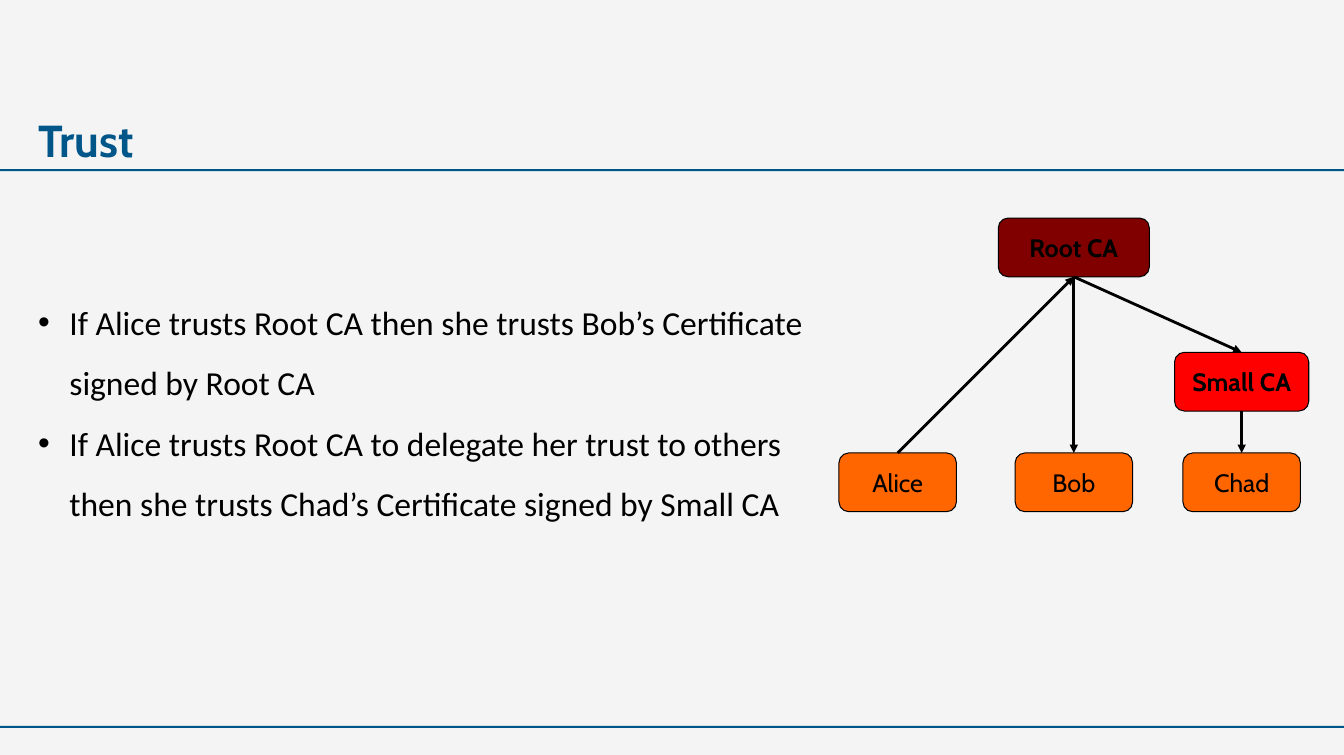
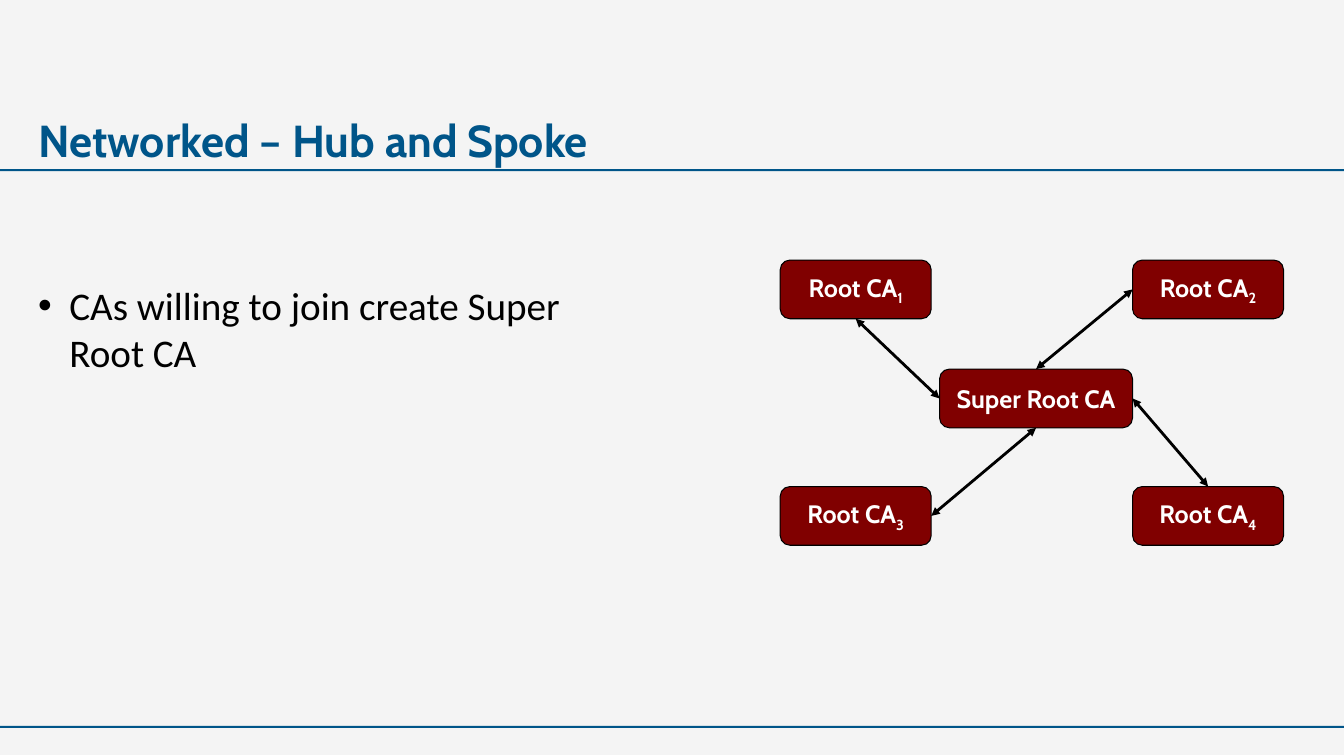
from pptx import Presentation
from pptx.dml.color import RGBColor
from pptx.enum.shapes import MSO_CONNECTOR as Link, MSO_SHAPE as Kind
from pptx.enum.text import MSO_ANCHOR as Anchor, PP_ALIGN as Align
from pptx.oxml.ns import qn
from pptx.util import Inches, Pt
from lxml.etree import SubElement as Sub

# Colours and fonts
PAPER, BLUE, BLACK, WHITE = "F4F4F4", "005589", "000000", "FFFFFF"
MAROON, RED, ORANGE = "800000", "FF0000", "FF6600"
HEAD, BODY = "Cabin", "Calibri"

# Connection sites of a box
TOP, LEFT, BASE, RIGHT = range(4)


def hue(code):
    return RGBColor.from_string(code)


def cell(n):
    """Grid columns and rows are a twelfth of an inch."""
    return Inches(n / 12)


def write(para, text, size=18, font=HEAD, color=BLACK, bold=False):
    """Write text; what follows an underscore becomes a subscript."""
    for i, part in enumerate(text.split("_")):
        run = para.add_run()
        run.text = part
        face = run.font
        face.size, face.name, face.bold = Pt(size), font, bold
        face.color.rgb = hue(color)
        if i:
            run._r.get_or_add_rPr().set("baseline", "-25000")


class Deck:
    def __init__(self):
        self.prs = Presentation()
        self.prs.slide_width, self.prs.slide_height = Inches(13.35), Inches(7.5)

    def page(self, title):
        """Start a slide with its background, two rules and title."""
        self.slide = self.prs.slides.add_slide(self.prs.slide_layouts[6])
        self.shapes = self.slide.shapes
        fill = self.slide.background.fill
        fill.solid()
        fill.fore_color.rgb = hue(PAPER)
        for top in (1.68, 7.21):
            self.rule(top)
        write(self.frame(13.5, 91.5, 6.5).paragraphs[0], title,
              size=32, color=BLUE, bold=True)

    def rule(self, top):
        bar = self.shapes.add_shape(Kind.RECTANGLE, 0, Inches(top),
                                    self.prs.slide_width, Inches(0.02))
        bar.shadow.inherit = False
        bar.fill.solid()
        bar.fill.fore_color.rgb = hue(BLUE)
        bar.line.fill.background()

    def frame(self, row, wide, high):
        """Text frame without insets at the left margin."""
        box = self.shapes.add_textbox(Inches(0.38), cell(row), cell(wide), cell(high))
        frame = box.text_frame
        frame.word_wrap = True
        frame.margin_left = frame.margin_right = 0
        frame.margin_top = frame.margin_bottom = 0
        return frame

    def bullets(self, items, wide, high, size, gap=1.0):
        frame = self.frame(33.6, wide, high)
        for i, item in enumerate(items):
            para = frame.add_paragraph() if i else frame.paragraphs[0]
            props = para._p.get_or_add_pPr()
            props.set("marL", str(Inches(0.31)))
            props.set("indent", str(-Inches(0.31)))
            Sub(props, qn("a:buFont"), typeface="Arial")
            Sub(props, qn("a:buChar"), char="•")
            para.line_spacing = gap
            write(para, item, size=size, font=BODY)

    def node(self, text, col, row, wide, fill, **style):
        box = self.shapes.add_shape(Kind.FLOWCHART_ALTERNATE_PROCESS,
                                    cell(col), cell(row), cell(wide), cell(7))
        box.shadow.inherit = False
        box.fill.solid()
        box.fill.fore_color.rgb = hue(fill)
        box.line.color.rgb = hue(BLACK)
        box.line.width = Pt(0.75)
        frame = box.text_frame
        frame.word_wrap = False
        frame.vertical_anchor = Anchor.MIDDLE
        para = frame.paragraphs[0]
        para.alignment = Align.CENTER
        write(para, text, **style)
        return box

    def arrow(self, start, out, end, into, both=False):
        line = self.shapes.add_connector(Link.STRAIGHT, 0, 0, 0, 0)
        line.begin_connect(start, out)
        line.end_connect(end, into)
        line.line.color.rgb = hue(BLACK)
        line.line.width = Pt(2)
        props = line.line._get_or_add_ln()
        for tag in ("a:headEnd", "a:tailEnd") if both else ("a:tailEnd",):
            Sub(props, qn(tag), type="triangle")
        Sub(line._element.spPr, qn("a:effectLst"))


def trust(deck):
    deck.page("Trust")
    deck.bullets(["If Alice trusts Root CA then she trusts Bob’s Certificate "
                  "signed by Root CA",
                  "If Alice trusts Root CA to delegate her trust to others "
                  "then she trusts Chad’s Certificate signed by Small CA"],
                 93.4, 42.8, 24, gap=1.5)

    # Authorities above, people below
    root = deck.node("Root CA", 119, 26, 18, MAROON, bold=True)
    small = deck.node("Small CA", 140, 42, 16, RED, bold=True)
    alice, bob, chad = [deck.node(name, col, 54, 14, ORANGE) for name, col in
                        (("Alice", 100), ("Bob", 121), ("Chad", 141))]

    # Chain of trust
    deck.arrow(alice, TOP, root, BASE)
    for start, end in ((root, small), (root, bob), (small, chad)):
        deck.arrow(start, BASE, end, TOP)


def hub(deck):
    deck.page("Networked – Hub and Spoke")
    deck.bullets(["CAs willing to join create Super Root CA"], 69.8, 11.3, 28)

    # Hub in the middle, one spoke to each corner
    style = dict(color=WHITE, bold=True)
    core = deck.node("Super Root CA", 112, 44, 23, MAROON, **style)
    sites = ((LEFT, BASE), (TOP, LEFT), (BASE, RIGHT), (RIGHT, TOP))
    for i, (out, into) in enumerate(sites):
        root = deck.node(f"Root CA_{i + 1}", 93 + i % 2 * 42, 31 + i // 2 * 27,
                         18, MAROON, **style)
        deck.arrow(core, out, root, into, both=True)


def main():
    deck = Deck()
    trust(deck)
    hub(deck)
    deck.prs.save("out.pptx")


if __name__ == "__main__":
    main()
